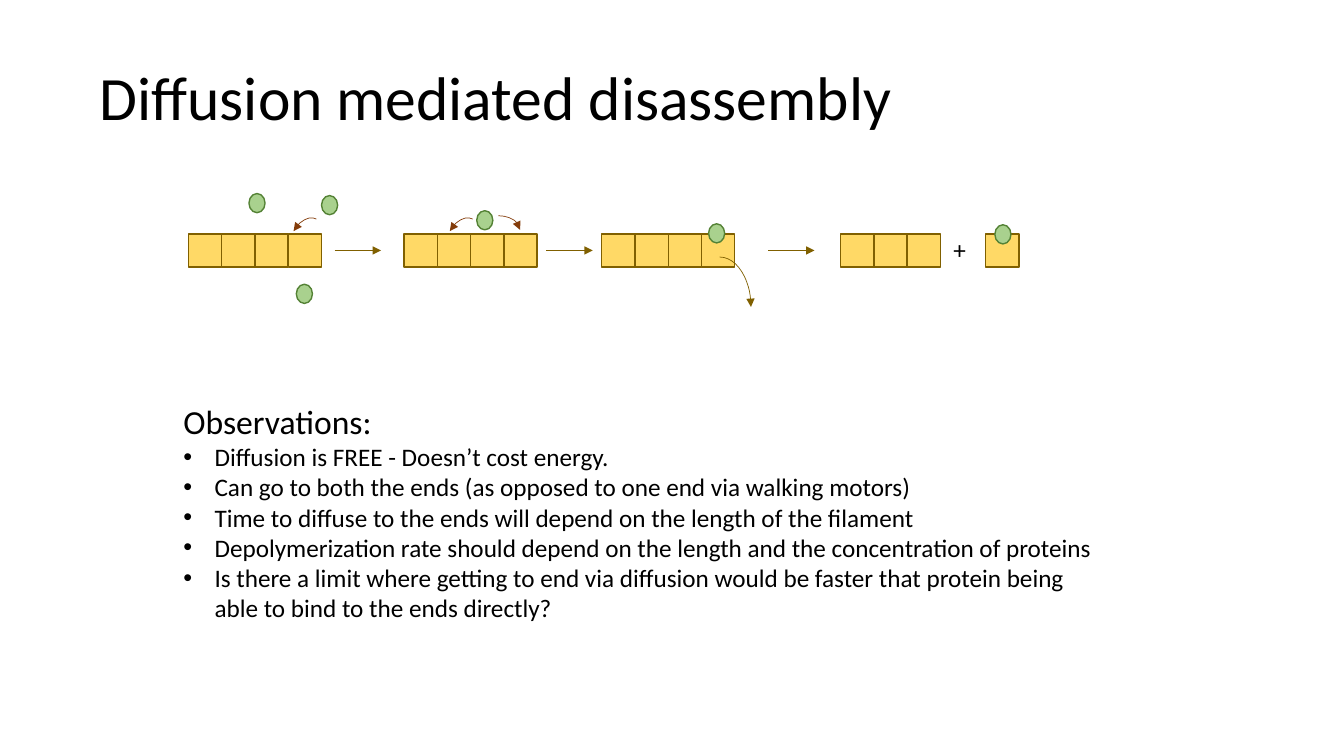
from pptx import Presentation
from pptx.util import Emu, Inches, Pt
from pptx.dml.color import RGBColor as Rgb
from pptx.enum.shapes import MSO_SHAPE as Kind, MSO_CONNECTOR as Link
from pptx.enum.text import MSO_ANCHOR as Anchor
from pptx.oxml.ns import qn
from lxml.etree import SubElement as Sub

# Grid: 40 columns by 22.5 rows, a third of an inch each
UNIT = Inches(1) // 3
COLS, ROWS = 40, 22.5
CELL = 0.99
TOP = 6.96  # row of the filaments

INK = {"text": "000000", "block": "FFD966", "edge": "806000",
       "dot": "A9D18E", "rim": "548235", "hop": "843C0B"}

NOTES = [
    "Diffusion is FREE - Doesn’t cost energy.",
    "Can go to both the ends (as opposed to one end via walking motors)",
    "Time to diffuse to the ends will depend on the length of the filament",
    "Depolymerization rate should depend on the length and the concentration of proteins",
    "Is there a limit where getting to end via diffusion would be faster that "
    "protein being able to bind to the ends directly?",
]


def grid(*vals):
    return [Emu(round(v * UNIT)) for v in vals]


def ink(name):
    return Rgb.from_string(INK[name])


def stroke(item, name, size, end=None):
    item.line.color.rgb = ink(name)
    item.line.width = Pt(size)
    if end:
        Sub(item.line._get_or_add_ln(), qn(f"a:{end}End"), type="triangle")


def solid(slide, kind, box, fill, edge):
    shape = slide.shapes.add_shape(kind, *grid(*box))
    shape.shadow.inherit = False
    shape.fill.solid()
    shape.fill.fore_color.rgb = ink(fill)
    stroke(shape, edge, 1)


def chain(slide, col, count):
    for n in range(count):
        solid(slide, Kind.RECTANGLE, (col + n * CELL, TOP, CELL, CELL), "block", "edge")


def dot(slide, col, row):
    solid(slide, Kind.OVAL, (col, row, 0.48, 0.57), "dot", "rim")


def arrow(slide, col):
    row = TOP + CELL / 2
    line = slide.shapes.add_connector(Link.STRAIGHT, *grid(col, row, col + 1.38, row))
    stroke(line, "edge", 0.5, "tail")
    Sub(line._element.spPr, qn("a:effectLst"))


def arc(slide, box, name, end="tail", turn=0):
    shape = slide.shapes.add_shape(Kind.ARC, *grid(*box))
    shape.shadow.inherit = False
    shape.fill.background()
    shape.rotation = turn
    stroke(shape, name, 0.5, end)


def style(para, size):
    for run in para.runs:
        run.font.size = Pt(size)
        run.font.name = "Calibri"
        run.font.color.rgb = ink("text")


def label(slide, box, text, size, wrap=True):
    frame = slide.shapes.add_textbox(*grid(*box)).text_frame
    frame.word_wrap = wrap
    frame.text = text
    style(frame.paragraphs[0], size)
    return frame


def bullet(frame, text):
    para = frame.add_paragraph()
    props = para._p.get_or_add_pPr()
    props.set("marL", str(Inches(0.31)))
    props.set("indent", str(-Inches(0.31)))
    Sub(props, qn("a:buFont"), typeface="Arial")
    Sub(props, qn("a:buChar"), char="•")
    para.text = text
    style(para, 18)


def main():
    deck = Presentation()
    deck.slide_width, deck.slide_height = grid(COLS, ROWS)
    slide = deck.slides.add_slide(deck.slide_layouts[6])

    # Title
    head = label(slide, (2.67, 0.81, 34.5, 4.35), "Diffusion mediated disassembly", 44)
    head.vertical_anchor = Anchor.MIDDLE
    head.paragraphs[0].line_spacing = 0.9

    # Filaments and the steps between them
    for col, count in [(5.61, 4), (12.03, 4), (17.91, 4), (25.02, 3), (29.34, 1)]:
        chain(slide, col, count)
    for col in (9.96, 16.26, 22.86):
        arrow(slide, col)
    label(slide, (28.08, 6.84, 0.99, 1.2), "+", 18, False)

    # Hops along the filament, and the block that leaves
    for col in (8.46, 13.11):
        arc(slide, (col, 6.66, 1.29, 0.84), "hop", "head", 299)
    arc(slide, (14.19, 6.42, 1.29, 0.84), "hop")
    arc(slide, (20.49, 7.65, 1.86, 2.97), "edge")

    # Proteins
    for col, row in [(7.41, 5.76), (9.57, 5.82), (8.82, 8.46),
                     (14.19, 6.27), (21.09, 6.66), (29.61, 6.69)]:
        dot(slide, col, row)

    # Observations
    body = label(slide, (5.16, 11.79, 28.26, 6.96), "Observations:", 24)
    for note in NOTES:
        bullet(body, note)

    deck.save("out.pptx")


if __name__ == "__main__":
    main()
